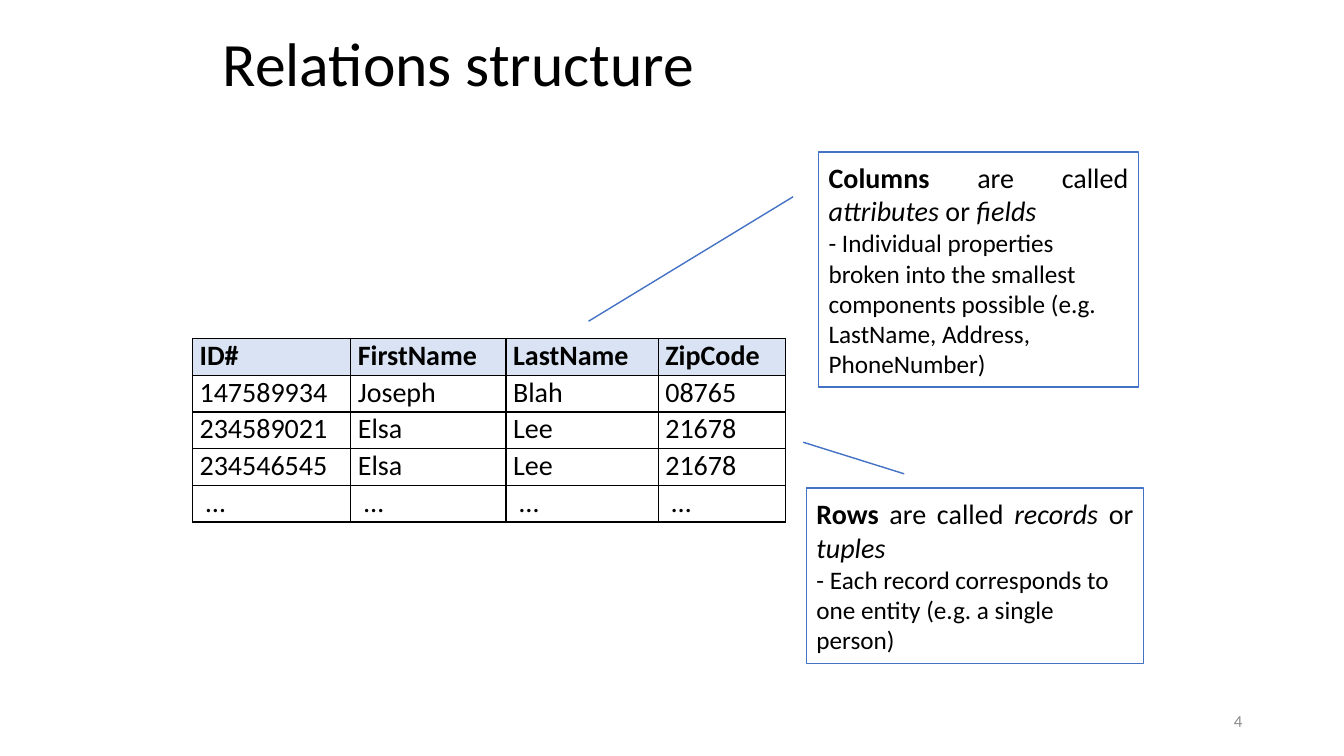
import pptx
import pptx.util
import pptx.dml.color
import pptx.enum.shapes
import pptx.enum.text
import pptx.oxml
import pptx.oxml.ns
from pptx.util import Inches

FONT = "Calibri"
BLACK, BLUE, PALE, GREY = "000000", "4472C4", "DAE3F3", "8C8C8C"
ALIGN = pptx.enum.text.PP_ALIGN
MIDDLE = pptx.enum.text.MSO_ANCHOR.MIDDLE

ROWS = [
    ["ID#", "FirstName", "LastName", "ZipCode"],
    ["147589934", "Joseph", "Blah", "08765"],
    ["234589021", "Elsa", "Lee", "21678"],
    ["234546545", "Elsa", "Lee", "21678"],
    ["\u00a0…"] * 4,
]
WIDTHS = [1.57, 1.54, 1.51, 1.26]


def color(code):
    return pptx.dml.color.RGBColor.from_string(code)


def apply(obj, style):
    for name, value in style.items():
        setattr(obj, name, value)


def place(box):
    return [Inches(size) for size in box]


def add_run(para, text, size, code=BLACK, **style):
    run = para.add_run()
    run.text = text
    apply(run.font, {"name": FONT, "size": pptx.util.Pt(size), **style})
    run.font.color.rgb = color(code)


def add_text(slide, box, text, size, code=BLACK, **style):
    frame = slide.shapes.add_textbox(*place(box)).text_frame
    apply(frame, {"word_wrap": True, "vertical_anchor": MIDDLE})
    para = frame.paragraphs[0]
    apply(para, style)
    add_run(para, text, size, code)


def add_edges(cell):
    # Borders must come before the fill in the cell properties
    props = cell._tc.get_or_add_tcPr()
    for index, side in enumerate(["lnL", "lnR", "lnT", "lnB"]):
        edge = pptx.oxml.parse_xml(
            f'<a:{side} {pptx.oxml.ns.nsdecls("a")} w="12700">'
            f'<a:solidFill><a:srgbClr val="{BLACK}"/></a:solidFill></a:{side}>')
        props.insert(index, edge)


def add_grid(slide, box):
    frame = slide.shapes.add_table(len(ROWS), len(WIDTHS), *place(box))
    table = frame.table
    apply(table, {"first_row": False, "horz_banding": False})
    for column, width in zip(table.columns, WIDTHS):
        column.width = Inches(width)
    margins = {"margin_left": Inches(0.07), "margin_right": Inches(0.07),
               "margin_top": 0, "margin_bottom": 0}
    for r, row in enumerate(ROWS):
        for c, text in enumerate(row):
            cell = table.cell(r, c)
            apply(cell, margins)
            if r == 0:
                cell.fill.solid()
                cell.fill.fore_color.rgb = color(PALE)
            else:
                cell.fill.background()
            add_edges(cell)
            add_run(cell.text_frame.paragraphs[0], text, 20, bold=r == 0)


def add_note(slide, box, tail, head, body):
    kind = pptx.enum.shapes.MSO_SHAPE.LINE_CALLOUT_1
    shape = slide.shapes.add_shape(kind, *place(box))
    for index, value in enumerate(tail):
        shape.adjustments[index] = value
    shape.shadow.inherit = False
    shape.fill.background()
    shape.line.color.rgb = color(BLUE)
    shape.line.width = pptx.util.Pt(1)
    frame = shape.text_frame
    apply(frame, {"word_wrap": True, "vertical_anchor": MIDDLE})
    first, second = frame.paragraphs[0], frame.add_paragraph()
    first.alignment = ALIGN.JUSTIFY
    second.alignment = ALIGN.LEFT
    for text, style in head:
        add_run(first, text, 20, **style)
    add_run(second, body, 18)


def main():
    deck = pptx.Presentation()
    apply(deck, {"slide_width": Inches(13.33), "slide_height": Inches(7.5)})
    slide = deck.slides.add_slide(deck.slide_layouts[6])
    bold, slant = {"bold": True}, {"italic": True}

    # Title and table
    add_text(slide, (2.11, 0.1, 8.84, 1.13), "Relations structure", 44,
             line_spacing=0.9)
    add_grid(slide, (1.91, 3.36, 5.88, 1.82))

    # Callouts
    add_note(slide, (8.12, 1.51, 3.17, 2.33), (0.19, -0.08, 0.72, -0.72),
             [("Columns ", bold), ("are called ", {}), ("attributes", slant),
              (" or ", {}), ("fields", slant)],
             "- Individual properties broken into the smallest components "
             "possible (e.g. LastName, Address, PhoneNumber)")
    add_note(slide, (8, 4.84, 3.34, 1.74), (-0.08, 0.29, -0.26, -0.01),
             [("Rows ", bold), ("are called ", {}), ("records ", slant),
              ("or", {}), (" tuples", slant)],
             "- Each record corresponds to one entity (e.g. a single person)")

    # Slide number
    add_text(slide, (9.42, 6.95, 3, 0.4), "4", 12, GREY,
             alignment=ALIGN.RIGHT)
    deck.save("out.pptx")


main()
